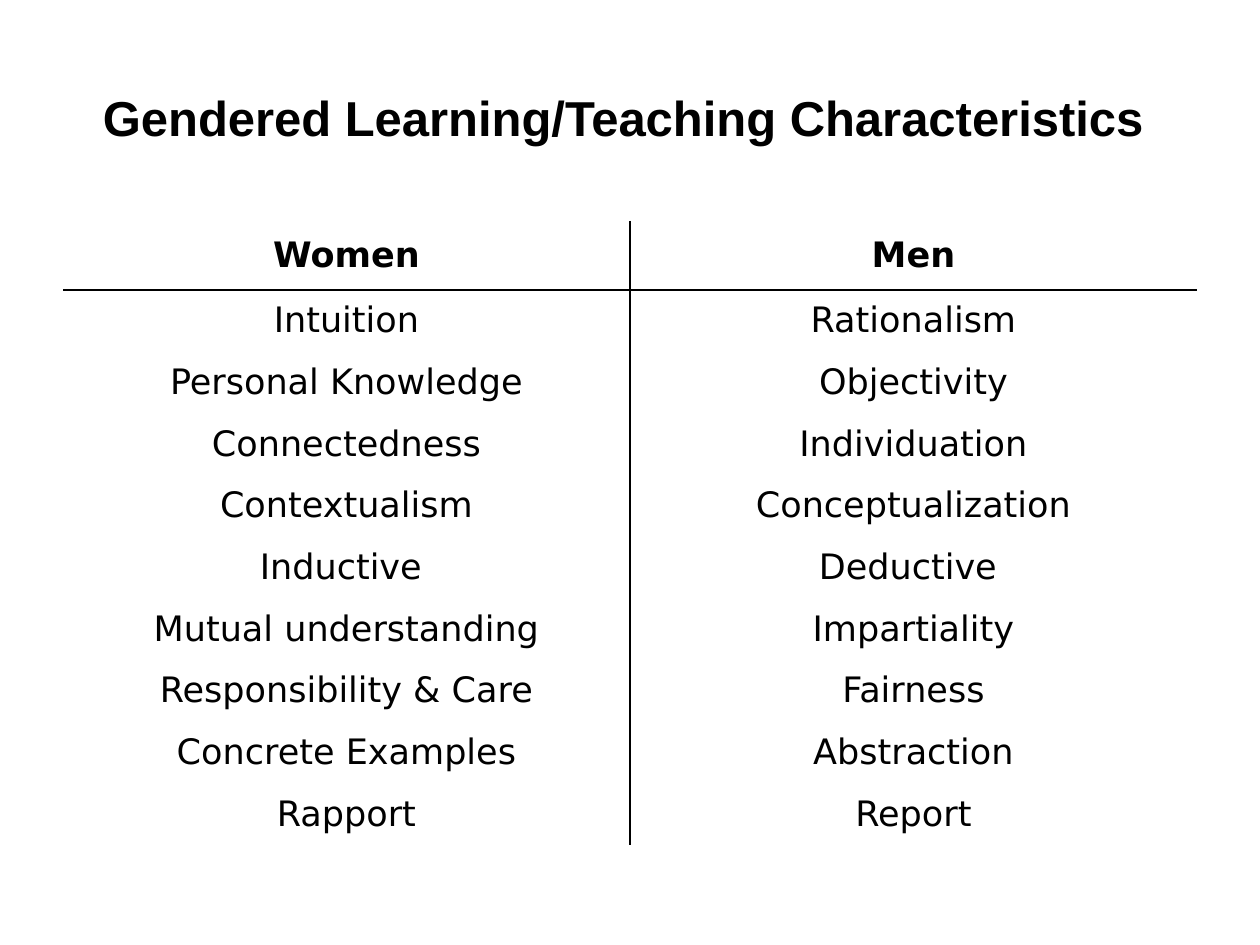
from dataclasses import dataclass

from lxml.etree import SubElement
from pptx import Presentation
from pptx.dml.color import RGBColor
from pptx.enum.text import MSO_ANCHOR, PP_ALIGN
from pptx.oxml.ns import qn
from pptx.util import Emu, Pt

PX_PER_INCH = 126
NO_STYLE_NO_GRID = "{2D5ABB26-0587-4C30-8999-92F81FD0307C}"

TITLE = "Gendered Learning/Teaching Characteristics "
CHARACTERISTICS = [
    ("Women", "Men"),
    ("Intuition", "Rationalism"),
    ("Personal Knowledge", "Objectivity"),
    ("Connectedness", "Individuation"),
    ("Contextualism", "Conceptualization"),
    ("Inductive ", "Deductive "),
    ("Mutual understanding", "Impartiality"),
    ("Responsibility & Care", "Fairness"),
    ("Concrete Examples", "Abstraction"),
    ("Rapport", "Report"),
]


@dataclass(frozen=True)
class Theme:
    ink: str = "000000"
    title_font: str = "Arial"
    table_font: str = "DejaVu Sans"
    title_size: int = 28
    table_size: int = 20
    rule_width: float = 0.96


THEME = Theme()


def px(length):
    return Emu(round(length * 914400 / PX_PER_INCH))


def write(frame, text, font_name, size, bold):
    paragraph = frame.paragraphs[0]
    paragraph.text = text
    paragraph.alignment = PP_ALIGN.CENTER
    font = paragraph.font
    font.name, font.size, font.bold = font_name, Pt(size), bold
    font.color.rgb = RGBColor.from_string(THEME.ink)


def add_title(slide, left, top, width, height):
    title = slide.shapes.add_textbox(px(left), px(top), px(width), px(height))
    frame = title.text_frame
    frame.word_wrap = True
    frame.vertical_anchor = MSO_ANCHOR.MIDDLE
    write(frame, TITLE, THEME.title_font, THEME.title_size, True)


def set_borders(cell, ruled_sides):
    """Rule the given sides (out of L, R, T, B) and clear the others."""
    properties = cell._tc.get_or_add_tcPr()
    for side in "LRTB":
        line = SubElement(properties, qn(f"a:ln{side}"))
        if side in ruled_sides:
            line.set("w", str(Pt(THEME.rule_width)))
            fill = SubElement(line, qn("a:solidFill"))
            SubElement(fill, qn("a:srgbClr")).set("val", THEME.ink)
        else:
            SubElement(line, qn("a:noFill"))


def add_comparison(slide, left, top, width, height, header_height):
    """Two columns parted by a vertical rule, with a rule under the header."""
    row_count = len(CHARACTERISTICS)
    table = slide.shapes.add_table(
        row_count, 2, px(left), px(top), px(width), px(height)).table
    table.first_row = table.horz_banding = False
    table._tbl.tblPr.find(qn("a:tableStyleId")).text = NO_STYLE_NO_GRID

    for column in table.columns:
        column.width = px(width / 2)
    body_row_height = (height - header_height) / (row_count - 1)

    for row_index, pair in enumerate(CHARACTERISTICS):
        is_header = row_index == 0
        table.rows[row_index].height = px(
            header_height if is_header else body_row_height)
        for column_index, characteristic in enumerate(pair):
            cell = table.cell(row_index, column_index)
            header_rule = {0: "B", 1: "T"}.get(row_index, "")
            set_borders(cell, "RL"[column_index] + header_rule)
            cell.fill.background()
            cell.vertical_anchor = MSO_ANCHOR.MIDDLE
            write(cell.text_frame, characteristic,
                  THEME.table_font, THEME.table_size, is_header)


def main():
    deck = Presentation()
    deck.slide_width, deck.slide_height = px(1260), px(945)
    slide = deck.slides.add_slide(deck.slide_layouts[6])
    add_title(slide, 63, 38, 1134, 158)
    add_comparison(slide, 63, 221, 1134, 624, header_height=69)
    deck.save("out.pptx")


if __name__ == "__main__":
    main()
